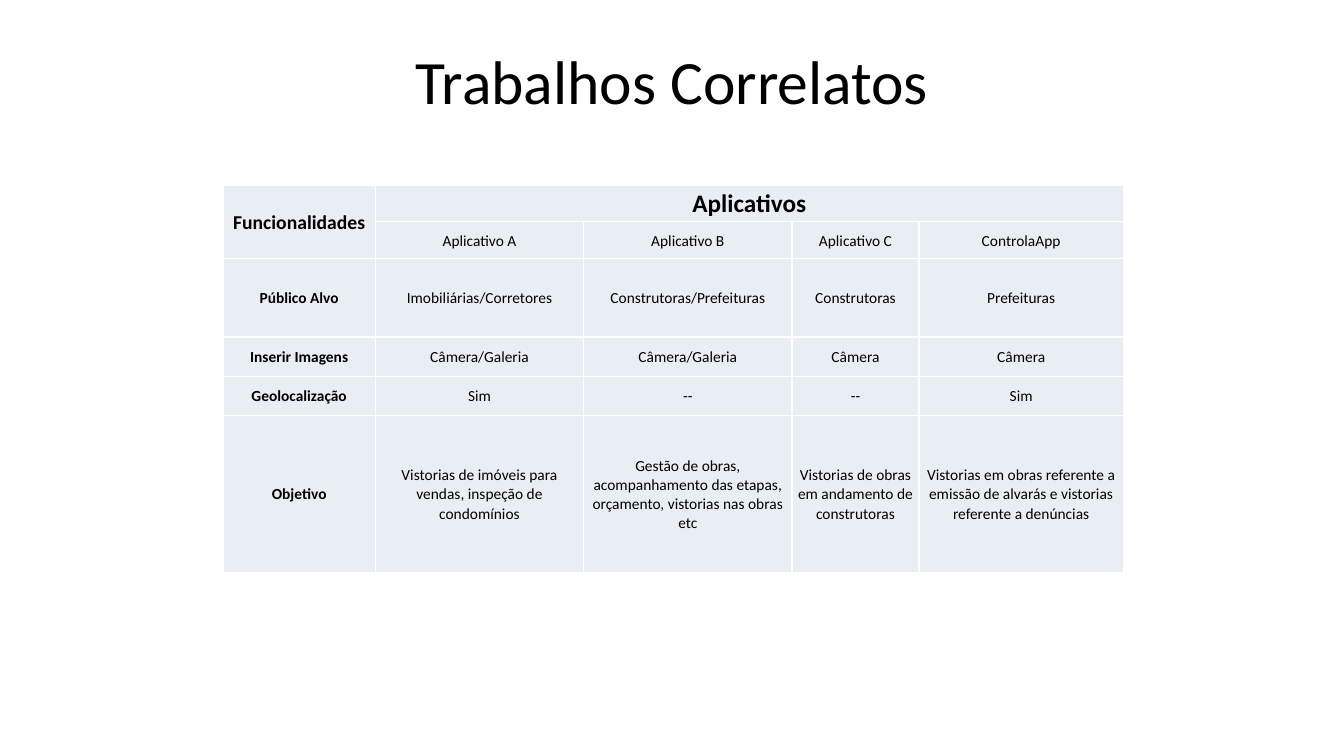
"""Build the related-work slide: a title and a comparison table of apps."""
import pptx
import pptx.dml.color
import pptx.enum.text
import pptx.oxml
import pptx.oxml.ns
import pptx.util

Cm, Pt = pptx.util.Cm, pptx.util.Pt
RGB = pptx.dml.color.RGBColor.from_string
COLORS = {"text": "000000", "cell": "E9EDF4", "border": "FFFFFF"}
FONT = "Calibri"


def add_run(p, text, size, bold=False):
    p.alignment = pptx.enum.text.PP_ALIGN.CENTER
    r = p.add_run()
    r.text = text
    r.font.name = FONT
    r.font.size = Pt(size)
    r.font.bold = bold
    r.font.color.rgb = RGB(COLORS["text"])


def add_borders(cell):
    tcPr = cell._tc.get_or_add_tcPr()
    for side in ("lnL", "lnR", "lnT", "lnB"):
        tcPr.append(pptx.oxml.parse_xml(
            f'<a:{side} {pptx.oxml.ns.nsdecls("a")} w="{Pt(1)}"><a:solidFill>'
            f'<a:srgbClr val="{COLORS["border"]}"/></a:solidFill></a:{side}>'))


prs = pptx.Presentation()
prs.slide_width, prs.slide_height = Cm(33.87), Cm(19.05)
s = prs.slides.add_slide(prs.slide_layouts[5])

title = s.shapes.title
title.left, title.top, title.width, title.height = Cm(10.31), Cm(1.07), Cm(13.26), Cm(1.88)
tf = title.text_frame
tf.margin_left = tf.margin_right = tf.margin_top = tf.margin_bottom = 0
tf.word_wrap = False
add_run(tf.paragraphs[0], "Trabalhos Correlatos", 44)

rows = [
    ["Funcionalidades", "Aplicativos", "", "", ""],
    ["", "Aplicativo A", "Aplicativo B", "Aplicativo C", "ControlaApp"],
    ["Público Alvo", "Imobiliárias/Corretores", "Construtoras/Prefeituras",
     "Construtoras", "Prefeituras"],
    ["Inserir Imagens", "Câmera/Galeria", "Câmera/Galeria", "Câmera", "Câmera"],
    ["Geolocalização", "Sim", "--", "--", "Sim"],
    ["Objetivo",
     "Vistorias de imóveis para vendas, inspeção de condomínios",
     "Gestão de obras, acompanhamento das etapas, orçamento, vistorias nas obras etc",
     "Vistorias de obras em andamento de construtoras",
     "Vistorias em obras referente a emissão de alvarás e vistorias referente a denúncias"],
]
col_widths = [3.84, 5.25, 5.25, 3.2, 5.15]
row_heights = [0.92, 0.92, 1.98, 0.99, 0.99, 3.96]
header_sizes = {"Funcionalidades": 14, "Aplicativos": 18}

table = s.shapes.add_table(len(rows), len(col_widths), Cm(5.62), Cm(4.67),
                           Cm(sum(col_widths)), Cm(sum(row_heights))).table
table.first_row = table.horz_banding = False
for column, width in zip(table.columns, col_widths):
    column.width = Cm(width)
for row, height in zip(table.rows, row_heights):
    row.height = Cm(height)
table.cell(0, 0).merge(table.cell(1, 0))
table.cell(0, 1).merge(table.cell(0, 4))

for i, texts in enumerate(rows):
    for j, text in enumerate(texts):
        cell = table.cell(i, j)
        add_borders(cell)
        cell.fill.solid()
        cell.fill.fore_color.rgb = RGB(COLORS["cell"])
        cell.vertical_anchor = pptx.enum.text.MSO_ANCHOR.MIDDLE
        cell.margin_left = cell.margin_right = cell.margin_top = Cm(0.03)
        cell.margin_bottom = 0
        if text:
            add_run(cell.text_frame.paragraphs[0], text,
                    header_sizes.get(text, 11), bold=i == 0 or j == 0)

prs.save("out.pptx")
